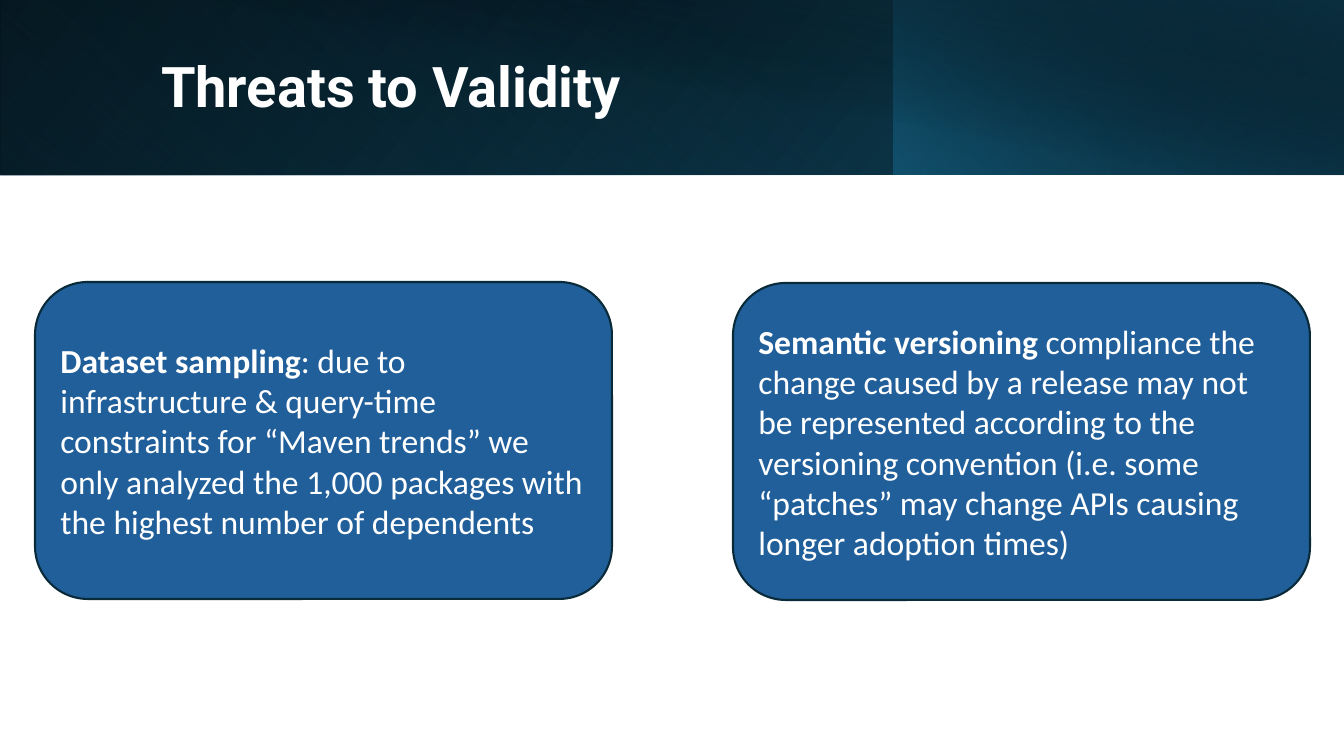
from lxml import etree
from pptx import Presentation
from pptx.dml.color import RGBColor
from pptx.enum import shapes, text
from pptx.oxml import ns
from pptx.util import Pt

PX = 914400 / 100.8  # EMU in one px


def px(length):
    return round(length * PX)


def color(code):
    return RGBColor.from_string(code)


class Painter:
    """Holds the style and the current slide."""
    WHITE, CARD, EDGE = "FFFFFF", "215F9A", "092A39"
    HEADING, BODY = "Roboto", "Calibri"

    def __init__(self, deck):
        self.page = deck.slides.add_slide(deck.slide_layouts[5])

    def shape(self, kind, area):
        box = self.page.shapes.add_shape(kind, *map(px, area))
        box.shadow.inherit = False
        box.line.fill.background()
        return box

    def gradient_band(self, area, stops, angle, flip=False, turn=0):
        """Stops are (position %, colour, opacity %)."""
        band = self.shape(shapes.MSO_SHAPE.RECTANGLE, area)
        band.rotation = turn
        band.fill.gradient()
        fill = band._element.spPr.find(ns.qn("a:gradFill"))
        for child in list(fill):
            fill.remove(child)
        stop_list = etree.SubElement(fill, ns.qn("a:gsLst"))
        for position, code, opacity in stops:
            stop = etree.SubElement(stop_list, ns.qn("a:gs"), pos=str(position * 1000))
            tone = etree.SubElement(stop, ns.qn("a:srgbClr"), val=code)
            etree.SubElement(tone, ns.qn("a:alpha"), val=str(opacity * 1000))
        etree.SubElement(fill, ns.qn("a:lin"), ang=str(angle * 60000), scaled="0")
        if flip:
            band._element.spPr.find(ns.qn("a:xfrm")).set("flipH", "1")

    def title(self, area, words):
        box = self.page.shapes.title
        box.left, box.top, box.width, box.height = map(px, area)
        frame = box.text_frame
        frame.text = words
        frame.auto_size = text.MSO_AUTO_SIZE.NONE
        frame.vertical_anchor = text.MSO_ANCHOR.MIDDLE
        para = frame.paragraphs[0]
        para.line_spacing = 0.9
        self.format(para, self.HEADING, 40)
        para.font.bold = True
        # Bring the title in front of the header bands
        self.page.shapes._spTree.append(box._element)

    def card(self, area, lead, rest):
        box = self.shape(shapes.MSO_SHAPE.ROUNDED_RECTANGLE, area)
        box.fill.solid()
        box.fill.fore_color.rgb = color(self.CARD)
        box.line.color.rgb = color(self.EDGE)
        box.line.width = Pt(1.5)
        frame = box.text_frame
        frame.word_wrap = True
        frame.vertical_anchor = text.MSO_ANCHOR.MIDDLE
        para = frame.paragraphs[0]
        self.format(para, self.BODY, 24)
        for words, bold in ((lead, True), (rest, False)):
            span = para.add_run()
            span.text = words
            span.font.bold = bold

    def format(self, para, font, size):
        para.alignment = text.PP_ALIGN.LEFT
        para.font.name = font
        para.font.size = Pt(size)
        para.font.color.rgb = color(self.WHITE)


def main():
    deck = Presentation()
    deck.slide_width, deck.slide_height = px(1344), px(756)
    painter = Painter(deck)

    # Header: layered gradient bands
    painter.gradient_band((0, 0, 1344, 175),
                          [(0, "000000", 100), (100, "104862", 100)], 140, flip=True)
    painter.gradient_band((0, 0, 895, 175),
                          [(20, "156082", 0), (100, "0B3041", 55)], 230, flip=True, turn=180)
    painter.gradient_band((894, 0, 450, 175),
                          [(0, "156082", 66), (100, "000000", 30)], 220, flip=True)
    painter.gradient_band((50, 0, 1294, 176),
                          [(50, "000000", 0), (99, "0B3041", 52)], 280)
    painter.title((151, 32, 1091, 114), "Threats to Validity")

    # Two threats side by side
    painter.card((35, 282, 577, 317), "Dataset sampling",
                 ": due to infrastructure & query-time constraints for “Maven trends” "
                 "we only analyzed the 1,000 packages with the highest number of dependents")
    painter.card((733, 283, 577, 317), "Semantic versioning ",
                 "compliance the change caused by a release may not be represented "
                 "according to the versioning convention (i.e. some “patches” may "
                 "change APIs causing longer adoption times)")

    deck.save("out.pptx")


if __name__ == "__main__":
    main()
